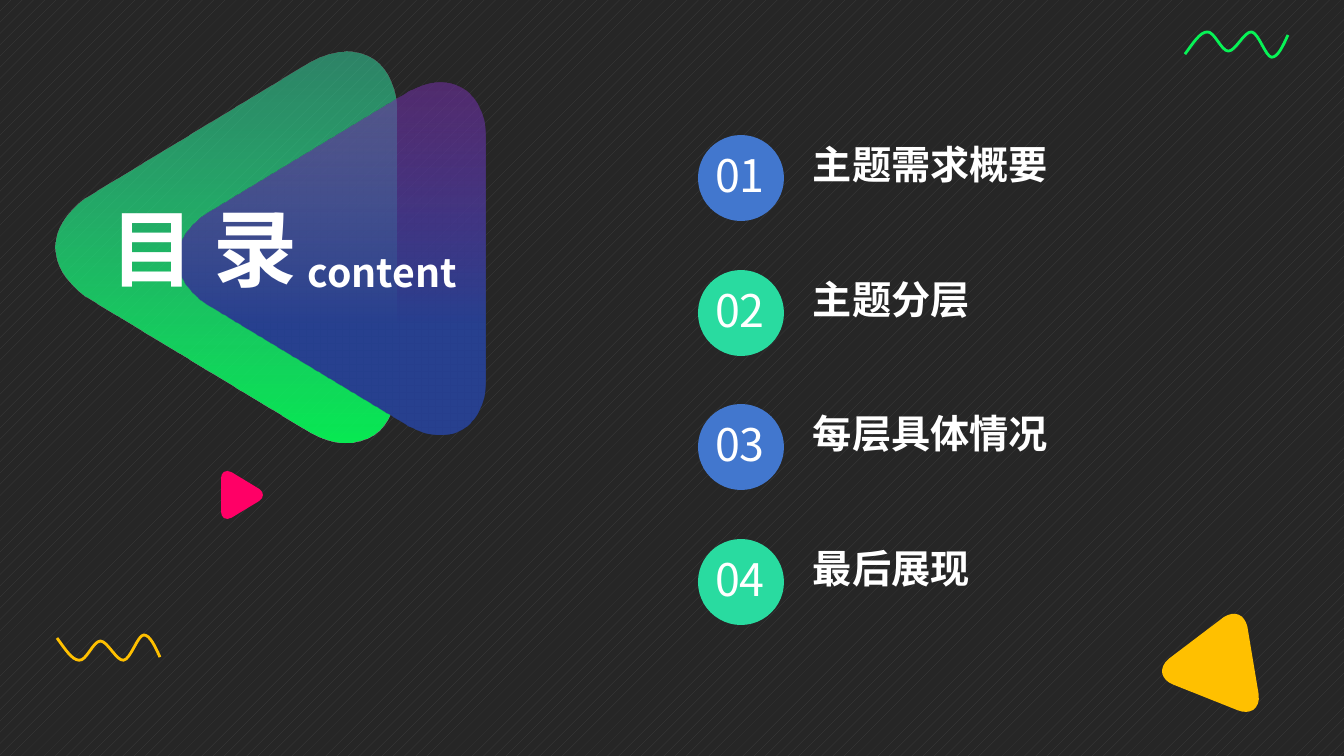
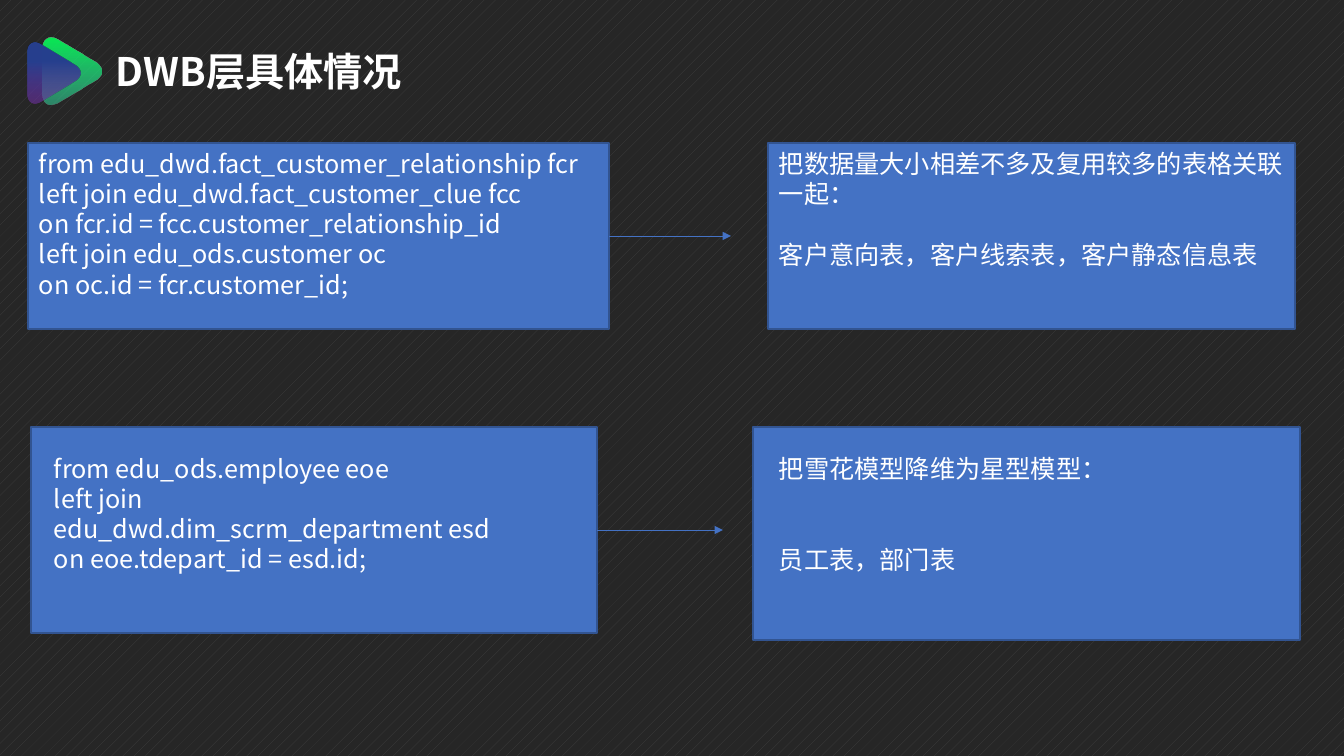
from lxml.etree import SubElement
from pptx import Presentation
from pptx.dml.color import RGBColor
from pptx.enum.dml import MSO_PATTERN
from pptx.enum.shapes import MSO_CONNECTOR, MSO_SHAPE
from pptx.enum.text import MSO_ANCHOR, PP_ALIGN
from pptx.oxml import parse_xml
from pptx.oxml.ns import nsdecls, qn
from pptx.util import Pt

SCALE = 914400 / 100.8
FONT = "Noto Sans CJK SC"
COLORS = {
    "white": "FFFFFF", "back": "262626", "hatch": "404040",
    "yellow": "FFC000", "pink": "FF0066", "lime": "07F356",
    "blue": "4277CE", "mint": "29DBA0",
    "card": "4472C4", "card_edge": "325491",
}
# Gradient stops: position %, colour, opacity %
GREEN_STOPS = [(0, "07F757", 94), (100, "36DEA6", 51)]
VIOLET_STOPS = [(31, "27408F", 100), (100, "7030A0", 58)]

# Outlines: a start point, then a line (1 point) or a Bezier curve (3 points)
TRIANGLE_W, TRIANGLE_H = 388, 339
TRIANGLE = [
    [(194, 0)],
    [(176, 0), (160, 11), (146, 29)],
    [(10, 254)],
    [(-3, 278), (-3, 299), (8, 316)],
    [(19, 331), (38, 339), (61, 339)],
    [(327, 339)],
    [(350, 339), (369, 331), (380, 316)],
    [(391, 299), (391, 278), (378, 254)],
    [(242, 29)],
    [(228, 11), (212, 0), (194, 0)],
]
WAVE_W, WAVE_H = 102, 25
WAVE = [
    [(0, 22)],
    [(8, 11), (15, 0), (22, 0)],
    [(29, -1), (36, 19), (43, 19)],
    [(50, 19), (59, -1), (66, 0)],
    [(73, 1), (80, 25), (86, 25)],
    [(92, 25), (97, 14), (102, 3)],
]


def px(n):
    return round(n * SCALE)


def rgb(name):
    return RGBColor.from_string(COLORS[name])


def outline(s, pieces, size, x, y, w, close):
    """Freeform drawn on a grid of the given size, scaled to width w."""
    grid_w, grid_h = size
    builder = s.shapes.build_freeform(0, 0, scale=px(w) / grid_w)
    builder.add_line_segments([(grid_w, grid_h)], close=close)
    sp = builder.convert_to_shape(px(x), px(y))
    sp.shadow.inherit = False
    route = sp._element.find(".//" + qn("a:path"))
    for child in list(route):
        route.remove(child)
    route.set("w", str(grid_w))
    route.set("h", str(grid_h))
    for i, pts in enumerate(pieces):
        tag = "a:moveTo" if i == 0 else "a:cubicBezTo" if len(pts) == 3 else "a:lnTo"
        piece = SubElement(route, qn(tag))
        for a, b in pts:
            pt = SubElement(piece, qn("a:pt"))
            pt.set("x", str(a))
            pt.set("y", str(b))
    if close:
        SubElement(route, qn("a:close"))
    return sp


def triangle(s, cx, cy, w, rot, color=None, stops=()):
    """Rounded triangle centred on (cx, cy), filled plainly or by gradient."""
    h = w * TRIANGLE_H / TRIANGLE_W
    sp = outline(s, TRIANGLE, (TRIANGLE_W, TRIANGLE_H), cx - w / 2, cy - h / 2, w, True)
    sp.rotation = rot
    sp.line.fill.background()
    if color:
        sp.fill.solid()
        sp.fill.fore_color.rgb = rgb(color)
        return
    sp.fill.background()
    gs = "".join(
        f'<a:gs pos="{pos * 1000}"><a:srgbClr val="{val}">'
        f'<a:alpha val="{alpha * 1000}"/></a:srgbClr></a:gs>'
        for pos, val, alpha in stops)
    grad = parse_xml(
        f'<a:gradFill {nsdecls("a")} rotWithShape="1"><a:gsLst>{gs}</a:gsLst>'
        '<a:lin ang="0" scaled="0"/></a:gradFill>')
    pr = sp._element.spPr
    pr.replace(pr.find(qn("a:noFill")), grad)


def play_mark(s, cx, cy, w, rot):
    """Two overlapping triangles, the violet one shifted away from the green tip."""
    side = 1 if rot == 270 else -1
    triangle(s, cx, cy, w, rot, stops=GREEN_STOPS)
    triangle(s, cx + side * w * 0.27, cy + w * 0.03, w * 0.9, rot, stops=VIOLET_STOPS)


def wave(s, x, y, w, color, flip=False):
    pieces = WAVE
    if flip:
        pieces = [[(a, WAVE_H - b) for a, b in pts] for pts in WAVE]
    sp = outline(s, pieces, (WAVE_W, WAVE_H), x, y, w, False)
    sp.fill.background()
    sp.line.color.rgb = rgb(color)
    sp.line.width = Pt(2)


def add_run(p, text, size, bold=False):
    r = p.add_run()
    r.text = text
    r.font.size = Pt(size)
    r.font.bold = bold
    r.font.name = FONT
    r.font.color.rgb = rgb("white")
    SubElement(r.font._element, qn("a:ea")).set("typeface", FONT)


def label(s, x, y, w, h, text, size=28, align=PP_ALIGN.LEFT, wrap=True, bold=True):
    tf = s.shapes.add_textbox(px(x), px(y), px(w), px(h)).text_frame
    tf.word_wrap = wrap
    p = tf.paragraphs[0]
    p.alignment = align
    add_run(p, text, size, bold)


def filled_shape(s, kind, x, y, w, h, color):
    sp = s.shapes.add_shape(kind, px(x), px(y), px(w), px(h))
    sp.shadow.inherit = False
    sp.fill.solid()
    sp.fill.fore_color.rgb = rgb(color)
    sp.line.fill.background()
    return sp


def agenda_item(s, x, y, number, text):
    color = "blue" if number % 2 else "mint"
    label(s, x + 105, y, 296, 84, text)
    filled_shape(s, MSO_SHAPE.OVAL, x, y, 86, 86, color)
    label(s, x - 4, y + 8, 92, 64, f"{number:02}", 32, PP_ALIGN.CENTER, bold=False)


def card(s, x, y, w, h, lines, gap=0, margins=(10, 5, 10)):
    """Filled box of text; gap is the space in points between paragraphs."""
    sp = filled_shape(s, MSO_SHAPE.RECTANGLE, x, y, w, h, "card")
    sp.line.color.rgb = rgb("card_edge")
    sp.line.width = Pt(1)
    tf = sp.text_frame
    tf.word_wrap = True
    tf.vertical_anchor = MSO_ANCHOR.TOP
    tf.margin_left, tf.margin_top, tf.margin_right = map(px, margins)
    for i, line in enumerate(lines):
        p = tf.add_paragraph() if i else tf.paragraphs[0]
        p.alignment = PP_ALIGN.LEFT
        if i and gap:
            p.space_before = Pt(gap)
        add_run(p, line, 18)
    return sp


def arrow_from(s, sp, length):
    """Arrow going right from the middle of the right side of sp."""
    x, y = sp.left + sp.width, sp.top + sp.height // 2
    cn = s.shapes.add_connector(MSO_CONNECTOR.STRAIGHT, x, y, x + px(length), y)
    cn.begin_connect(sp, 3)
    cn.line.color.rgb = rgb("card")
    cn.line.width = Pt(0.5)
    SubElement(cn.line._get_or_add_ln(), qn("a:tailEnd")).set("type", "triangle")
    SubElement(cn._element.spPr, qn("a:effectLst"))


def new_slide(prs):
    s = prs.slides.add_slide(prs.slide_layouts[6])
    fill = s.background.fill
    fill.patterned()
    fill.pattern = MSO_PATTERN.PERCENT_10
    fill.fore_color.rgb = rgb("hatch")
    fill.back_color.rgb = rgb("back")
    return s


def contents_slide(prs, items):
    s = new_slide(prs)
    triangle(s, 1222, 656, 102, 21.7, "yellow")
    triangle(s, 242, 495, 48, 90, "pink")
    wave(s, 1185, 32, 103, "lime")
    wave(s, 57, 635, 103, "yellow", flip=True)
    play_mark(s, 226, 247, 391, 270)
    label(s, 96, 192, 216, 112, "目 录", 60, PP_ALIGN.CENTER, wrap=False)
    label(s, 296, 243, 173, 57, "content", 28, PP_ALIGN.CENTER, wrap=False)
    for i, text in enumerate(items):
        agenda_item(s, 698, 135 + round(134.6 * i), i + 1, text)


def layer_slide(prs):
    s = new_slide(prs)
    play_mark(s, 72, 71, 67, 90)
    label(s, 106, 42, 331, 57, "DWB层具体情况")

    relations = card(s, 28, 143, 581, 186, [
        "from edu_dwd.fact_customer_relationship fcr",
        "left join edu_dwd.fact_customer_clue fcc",
        "on fcr.id = fcc.customer_relationship_id",
        "left join edu_ods.customer oc",
        "on oc.id = fcr.customer_id;",
    ], margins=(11, 5, 10))
    arrow_from(s, relations, 122)
    card(s, 768, 143, 527, 186, [
        "把数据量大小相差不多及复用较多的表格关联一起：",
        "客户意向表，客户线索表，客户静态信息表",
    ], gap=21.8, margins=(11, 5, 9))

    staff = card(s, 31, 427, 566, 206, [
        "from edu_ods.employee eoe",
        "left join edu_dwd.dim_scrm_department esd",
        "on eoe.tdepart_id = esd.id;",
    ], margins=(23, 26, 64))
    arrow_from(s, staff, 126)
    card(s, 753, 427, 547, 213, [
        "把雪花模型降维为星型模型：",
        "员工表，部门表",
    ], gap=43.6, margins=(26, 26, 64))


def main():
    prs = Presentation()
    prs.slide_width, prs.slide_height = px(1344), px(756)
    contents_slide(prs, ["主题需求概要", "主题分层", "每层具体情况", "最后展现"])
    layer_slide(prs)
    prs.save("out.pptx")


if __name__ == "__main__":
    main()
